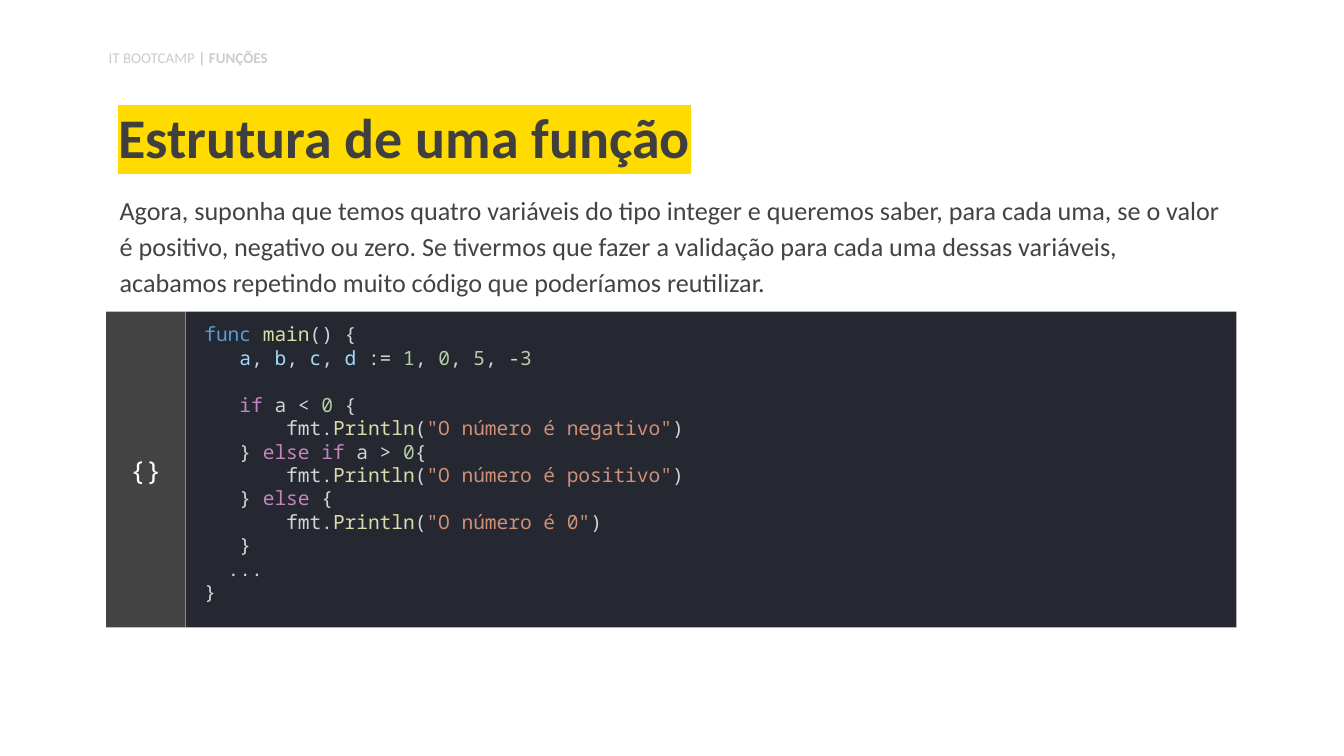
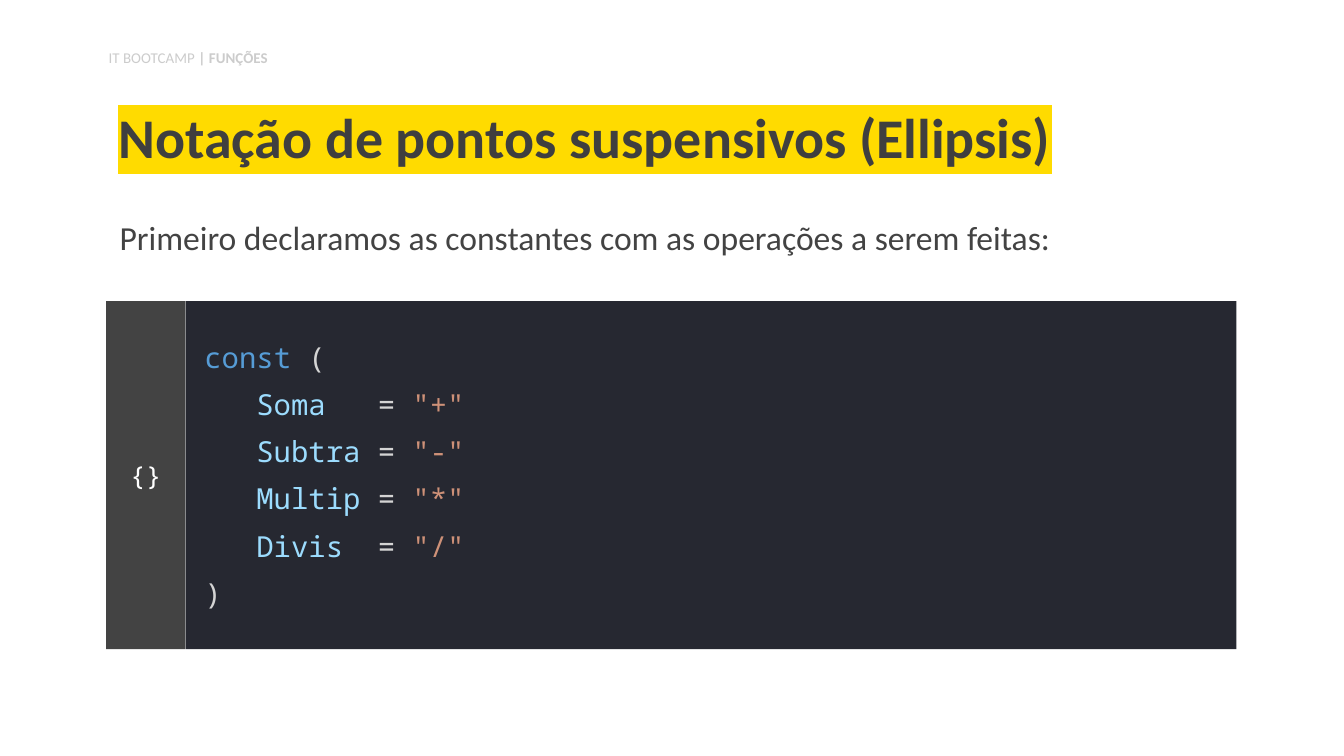
from dataclasses import dataclass
from functools import partial
from typing import NamedTuple, Optional

from lxml import etree
from pptx import Presentation
from pptx.dml.color import RGBColor
from pptx.enum.shapes import MSO_SHAPE
from pptx.enum.text import MSO_ANCHOR, MSO_AUTO_SIZE, PP_ALIGN
from pptx.oxml.ns import qn
from pptx.util import Pt

RECT = MSO_SHAPE.RECTANGLE
TOP, MIDDLE, BOTTOM = MSO_ANCHOR.TOP, MSO_ANCHOR.MIDDLE, MSO_ANCHOR.BOTTOM
LEFT, CENTER = PP_ALIGN.LEFT, PP_ALIGN.CENTER
NO_FIT = MSO_AUTO_SIZE.NONE


@dataclass(frozen=True)
class Theme:
    text_font: str = "Calibri"
    code_font: str = "Noto Sans Mono"
    title: str = "3F3F3F"
    marker: str = "FFDB00"
    body: str = "434343"
    header: str = "CCCCCC"
    code_back: str = "262831"
    gutter: str = "434343"
    white: str = "FFFFFF"
    plain: str = "D4D4D4"
    keyword: str = "569CD6"
    control: str = "C586C0"
    function: str = "DCDCAA"
    variable: str = "9CDCFE"
    number: str = "B5CEA8"
    string: str = "CE9178"
    title_size: float = 30
    header_size: float = 8
    brace_size: float = 14


THEME = Theme()


class Box(NamedTuple):
    left: float
    top: float
    width: float
    height: float


class Insets(NamedTuple):
    left: float = 7.2
    top: float = 7.2
    right: float = 7.2
    bottom: float = 7.2


class Run(NamedTuple):
    text: str
    color: str = THEME.plain
    bold: bool = False


Line = list[Run]


@dataclass(frozen=True)
class TextStyle:
    size: float
    font: str = THEME.text_font
    anchor: MSO_ANCHOR = TOP
    align: PP_ALIGN = LEFT
    spacing: float = 1.0
    after: float = 0
    insets: Insets = Insets()
    marker: Optional[str] = None


@dataclass(frozen=True)
class CodeSlide:
    title: str
    body: str
    body_box: Box
    body_size: float
    code: list[Line]
    code_top: float
    code_height: float
    code_size: float
    code_spacing: float


HEADER_BOX = Box(51.1, 22.3, 226, 19.4)
TITLE_BOX = Box(56.2, 49, 607, 49.7)
GUTTER_LEFT, GUTTER_WIDTH, CODE_WIDTH = 56.9, 42.5, 563

HEADER_STYLE = TextStyle(THEME.header_size, after=12, insets=Insets(top=3.6, bottom=3.6))
TITLE_STYLE = TextStyle(THEME.title_size, anchor=BOTTOM, spacing=0.9, marker=THEME.marker)
BRACE_STYLE = TextStyle(THEME.brace_size, THEME.code_font, MIDDLE, CENTER)

keyword = partial(Run, color=THEME.keyword)
control = partial(Run, color=THEME.control)
function = partial(Run, color=THEME.function)
variable = partial(Run, color=THEME.variable)
number = partial(Run, color=THEME.number)
string = partial(Run, color=THEME.string)


def joined(items: Line) -> Line:
    """Put a plain comma between the items."""
    return [run for item in items for run in (Run(", "), item)][1:]


def print_line(message: str) -> Line:
    return [Run("       fmt."), function("Println"), Run("("), string(f'"{message}"'), Run(")")]


def constant(name: str, symbol: str) -> Line:
    return [Run("   "), variable(name), Run(" " * (6 - len(name)) + " = "), string(f'"{symbol}"')]


SIGN_CHECK: list[Line] = [
    [keyword("func "), function("main"), Run("() {")],
    [Run("   "), *joined([variable(name) for name in "abcd"]), Run(" := "),
     *joined([number(digit) for digit in "105"]), Run(", -"), number("3")],
    [Run("  ")],
    [Run("   "), control("if"), Run(" a < "), number("0"), Run(" {")],
    print_line("O número é negativo"),
    [Run("   } "), control("else if "), Run("a > "), number("0"), Run("{")],
    print_line("O número é positivo"),
    [Run("   } "), control("else "), Run("{")],
    print_line("O número é 0"),
    [Run("   }")],
    [Run("  ...")],
    [Run("}")],
]

OPERATIONS: list[Line] = [
    [keyword("const"), Run(" (")],
    constant("Soma", "+"),
    constant("Subtra", "-"),
    constant("Multip", "*"),
    constant("Divis", "/"),
    [Run(")")],
]

SLIDES = [
    CodeSlide(
        "Estrutura de uma função",
        "Agora, suponha que temos quatro variáveis do tipo integer e queremos saber, "
        "para cada uma, se o valor é positivo, negativo ou zero. Se tivermos que fazer "
        "a validação para cada uma dessas variáveis, acabamos repetindo muito código "
        "que poderíamos reutilizar.",
        Box(56.9, 94.3, 607, 61.2), 14, SIGN_CHECK, 167, 169.2, 10.5, 1.0),
    CodeSlide(
        "Notação de pontos suspensivos (Ellipsis)",
        "Primeiro declaramos as constantes com as operações a serem feitas:",
        Box(56.9, 105.8, 607, 37.4), 18, OPERATIONS, 161.3, 186.5, 15.5, 1.36),
]


def set_all(obj, values: dict) -> None:
    for name, value in values.items():
        setattr(obj, name, value)


def place(sp, box: Box) -> None:
    set_all(sp, {name: Pt(value) for name, value in box._asdict().items()})


def add_marker(r, color: str) -> None:
    """Highlight a run; the element must come before the font name."""
    marker = etree.Element(qn("a:highlight"))
    etree.SubElement(marker, qn("a:srgbClr")).set("val", color)
    r.font._element.find(qn("a:latin")).addprevious(marker)


def write(sp, lines: list[Line], style: TextStyle) -> None:
    tf = sp.text_frame
    set_all(tf, {"word_wrap": True, "auto_size": NO_FIT, "vertical_anchor": style.anchor})
    set_all(tf, {f"margin_{side}": Pt(v) for side, v in style.insets._asdict().items()})
    for i, line in enumerate(lines):
        p = tf.add_paragraph() if i else tf.paragraphs[0]
        pPr = p._p.get_or_add_pPr()
        pPr.set("marL", "0")
        pPr.set("indent", "0")
        etree.SubElement(pPr, qn("a:buNone"))
        set_all(p, {"alignment": style.align, "line_spacing": style.spacing,
                    "space_before": Pt(0), "space_after": Pt(style.after)})
        for run in line:
            r = p.add_run()
            r.text = run.text
            set_all(r.font, {"size": Pt(style.size), "name": style.font, "bold": run.bold})
            r.font.color.rgb = RGBColor.from_string(run.color)
            if style.marker:
                add_marker(r, style.marker)


def add_panel(shapes, box: Box, fill: str, lines: list[Line], style: TextStyle) -> None:
    sp = shapes.add_shape(RECT, *map(Pt, box))
    sp.shadow.inherit = False
    sp.fill.solid()
    sp.fill.fore_color.rgb = RGBColor.from_string(fill)
    sp.line.fill.background()
    write(sp, lines, style)


def add_code_block(s, item: CodeSlide) -> None:
    shapes = s.shapes.add_group_shape().shapes
    code_style = TextStyle(item.code_size, THEME.code_font, MIDDLE,
                           spacing=item.code_spacing, insets=Insets(left=10.1, top=0))
    code_box = Box(GUTTER_LEFT + GUTTER_WIDTH, item.code_top, CODE_WIDTH, item.code_height)
    gutter_box = code_box._replace(left=GUTTER_LEFT, width=GUTTER_WIDTH)
    add_panel(shapes, code_box, THEME.code_back, item.code, code_style)
    add_panel(shapes, gutter_box, THEME.gutter, [[Run("{}", THEME.white)]], BRACE_STYLE)


def add_header(s) -> None:
    sp = s.shapes.add_textbox(*map(Pt, HEADER_BOX))
    write(sp, [[Run("IT BOOTCAMP", THEME.header), Run(" | FUNÇÕES", THEME.header, True)]],
          HEADER_STYLE)


def add_code_slide(prs, item: CodeSlide) -> None:
    s = prs.slides.add_slide(prs.slide_layouts[1])
    title, body = s.shapes.title, s.placeholders[1]
    place(title, TITLE_BOX)
    write(title, [[Run(item.title, THEME.title, True)]], TITLE_STYLE)
    place(body, item.body_box)
    write(body, [[Run(item.body, THEME.body)]], TextStyle(item.body_size, spacing=1.15))
    add_code_block(s, item)
    add_header(s)


def main() -> None:
    prs = Presentation()
    set_all(prs, {"slide_width": Pt(720), "slide_height": Pt(405)})
    for item in SLIDES:
        add_code_slide(prs, item)
    prs.save("out.pptx")


if __name__ == "__main__":
    main()
